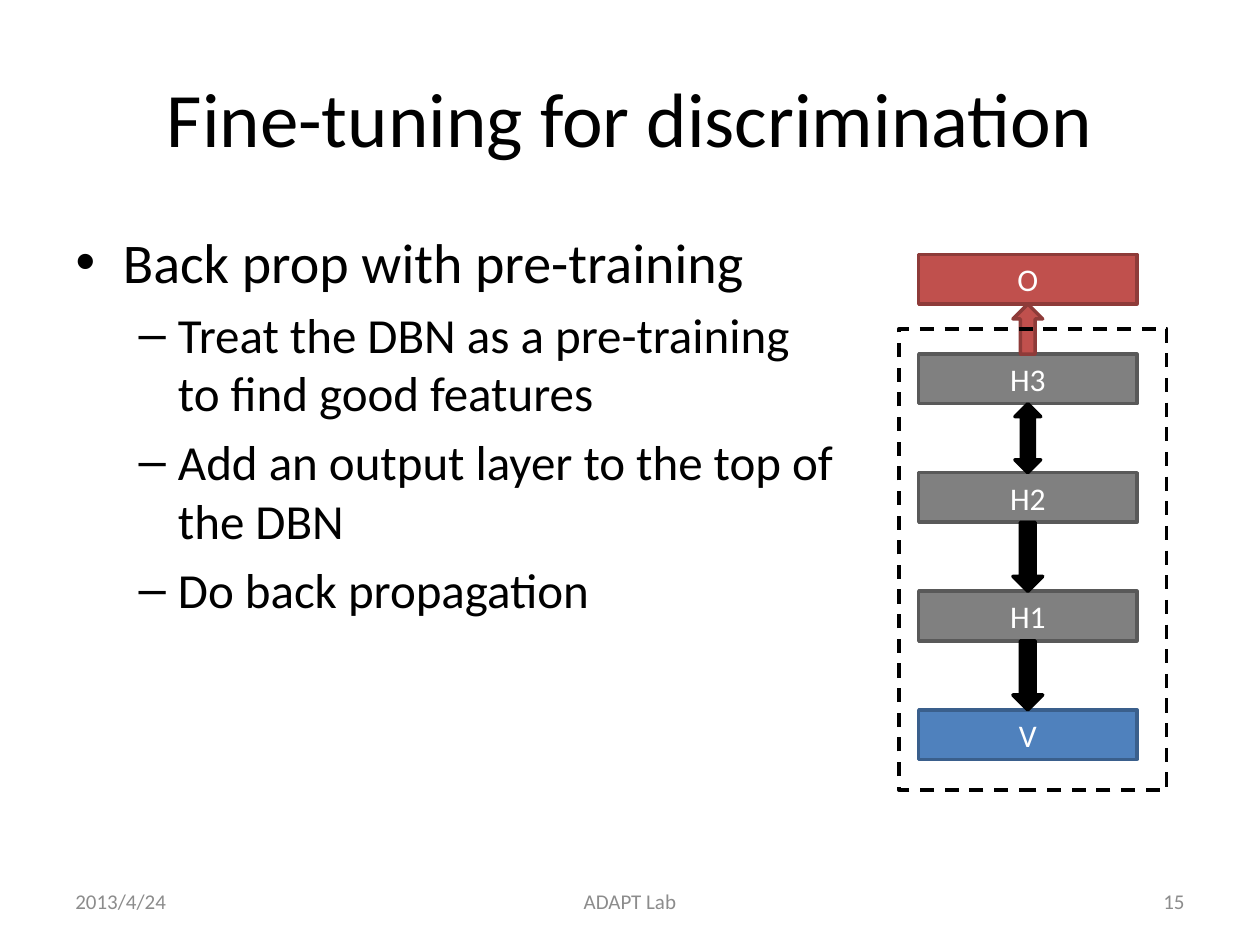
import dataclasses
from typing import Any, Optional

import pptx
import pptx.dml.color
import pptx.enum.dml
import pptx.enum.shapes
import pptx.enum.text
import pptx.util

Cm = pptx.util.Cm
Pt = pptx.util.Pt
Shape = pptx.enum.shapes.MSO_SHAPE
Align = pptx.enum.text.PP_ALIGN
Anchor = pptx.enum.text.MSO_ANCHOR

FONT = "Calibri"
BLACK, WHITE, FOOTER_GREY = "000000", "FFFFFF", "8C8C8C"
GREY, GREY_EDGE = "808080", "595959"
BLUE, BLUE_EDGE = "4F81BD", "3A5F8C"
RED, RED_EDGE = "C0504D", "8E3B39"

STACK_CENTER = 20.72
LAYER_WIDTH, LAYER_HEIGHT = 4.4, 1.0
HIDDEN_TOP, LAYER_PITCH = 7.14, 2.39
OUTPUT_TOP = 5.13


@dataclasses.dataclass
class Layer:
    label: str
    top: float
    fill: str
    edge: str


@dataclasses.dataclass
class Arrow:
    kind: Any
    top: float
    width: float
    height: float
    fill: str
    edge: str


@dataclasses.dataclass
class FooterItem:
    text: str
    left: float
    width: float
    align: Any


def color(value: str) -> pptx.dml.color.RGBColor:
    return pptx.dml.color.RGBColor.from_string(value)


def add_run(paragraph: Any, text: str, size: float, ink: str) -> None:
    run = paragraph.add_run()
    run.text = text
    run.font.name = FONT
    run.font.size = Pt(size)
    run.font.color.rgb = color(ink)


def place(item: Any, left: float, top: float, width: float, height: float) -> None:
    item.left, item.top = Cm(left), Cm(top)
    item.width, item.height = Cm(width), Cm(height)


def draw_outlined(shapes: Any, kind: Any, left: float, top: float, width: float,
                  height: float, fill: Optional[str], edge: str) -> Any:
    outlined = shapes.add_shape(kind, Cm(left), Cm(top), Cm(width), Cm(height))
    outlined.shadow.inherit = False
    if fill:
        outlined.fill.solid()
        outlined.fill.fore_color.rgb = color(fill)
    else:
        outlined.fill.background()
    outlined.line.color.rgb = color(edge)
    outlined.line.width = Pt(2)
    return outlined


def draw_layer(shapes: Any, layer: Layer) -> None:
    box = draw_outlined(shapes, Shape.RECTANGLE, STACK_CENTER - LAYER_WIDTH / 2, layer.top,
                        LAYER_WIDTH, LAYER_HEIGHT, layer.fill, layer.edge)
    box.text_frame.vertical_anchor = Anchor.MIDDLE
    paragraph = box.text_frame.paragraphs[0]
    paragraph.alignment = Align.CENTER
    add_run(paragraph, layer.label, 18, WHITE)


def draw_arrow(shapes: Any, arrow: Arrow) -> None:
    draw_outlined(shapes, arrow.kind, STACK_CENTER - arrow.width / 2, arrow.top,
                  arrow.width, arrow.height, arrow.fill, arrow.edge)


def draw_footer(shapes: Any, item: FooterItem) -> None:
    box = shapes.add_textbox(Cm(item.left), Cm(17.65), Cm(item.width), Cm(1.02))
    box.text_frame.word_wrap = True
    box.text_frame.vertical_anchor = Anchor.MIDDLE
    paragraph = box.text_frame.paragraphs[0]
    paragraph.alignment = item.align
    add_run(paragraph, item.text, 12, FOOTER_GREY)


def write_text(slide: Any) -> None:
    title = slide.shapes.title
    place(title, 1.27, 0.76, 22.86, 3.18)
    title.text_frame.vertical_anchor = Anchor.MIDDLE
    heading = title.text_frame.paragraphs[0]
    heading.alignment = Align.CENTER
    add_run(heading, "Fine-tuning for discrimination", 44, BLACK)

    body = slide.placeholders[1]
    place(body, 1.27, 4.45, 15.82, 12.57)
    topic = body.text_frame.paragraphs[0]
    topic.space_before = Pt(0)
    add_run(topic, "Back prop with pre-training", 32, BLACK)
    for step in ("Treat the DBN as a pre-training to find good features",
                 "Add an output layer to the top of the DBN",
                 "Do back propagation"):
        paragraph = body.text_frame.add_paragraph()
        paragraph.level = 1
        add_run(paragraph, step, 28, BLACK)

    for item in (FooterItem("ADAPT Lab", 8.68, 8.04, Align.CENTER),
                 FooterItem("15", 18.2, 5.93, Align.RIGHT),
                 FooterItem("2013/4/24", 1.27, 5.93, Align.LEFT)):
        draw_footer(slide.shapes, item)


def draw_network(slide: Any) -> None:
    belief_network = slide.shapes.add_group_shape().shapes
    styles = (("H3", GREY, GREY_EDGE), ("H2", GREY, GREY_EDGE),
              ("H1", GREY, GREY_EDGE), ("V", BLUE, BLUE_EDGE))
    layers = [Layer(label, HIDDEN_TOP + row * LAYER_PITCH, fill, edge)
              for row, (label, fill, edge) in enumerate(styles)]
    for layer in layers:
        draw_layer(belief_network, layer)
    links = ((Shape.UP_DOWN_ARROW, 0.52), (Shape.DOWN_ARROW, 0.6), (Shape.DOWN_ARROW, 0.6))
    for layer, (kind, width) in zip(layers, links):
        draw_arrow(belief_network, Arrow(kind, layer.top + LAYER_HEIGHT, width,
                                         LAYER_PITCH - LAYER_HEIGHT, BLACK, BLACK))

    draw_layer(slide.shapes, Layer("O", OUTPUT_TOP, RED, RED_EDGE))
    output_bottom = OUTPUT_TOP + LAYER_HEIGHT
    draw_arrow(slide.shapes, Arrow(Shape.UP_ARROW, output_bottom, 0.6,
                                   HIDDEN_TOP - output_bottom, RED, RED_EDGE))
    boundary = draw_outlined(slide.shapes, Shape.RECTANGLE, 18.12, 6.63, 5.4, 9.3, None, BLACK)
    boundary.line.dash_style = pptx.enum.dml.MSO_LINE.DASH


def main() -> None:
    deck = pptx.Presentation()
    deck.slide_width, deck.slide_height = Cm(25.4), Cm(19.05)
    slide = deck.slides.add_slide(deck.slide_layouts[1])
    write_text(slide)
    draw_network(slide)
    deck.save("out.pptx")


if __name__ == "__main__":
    main()
